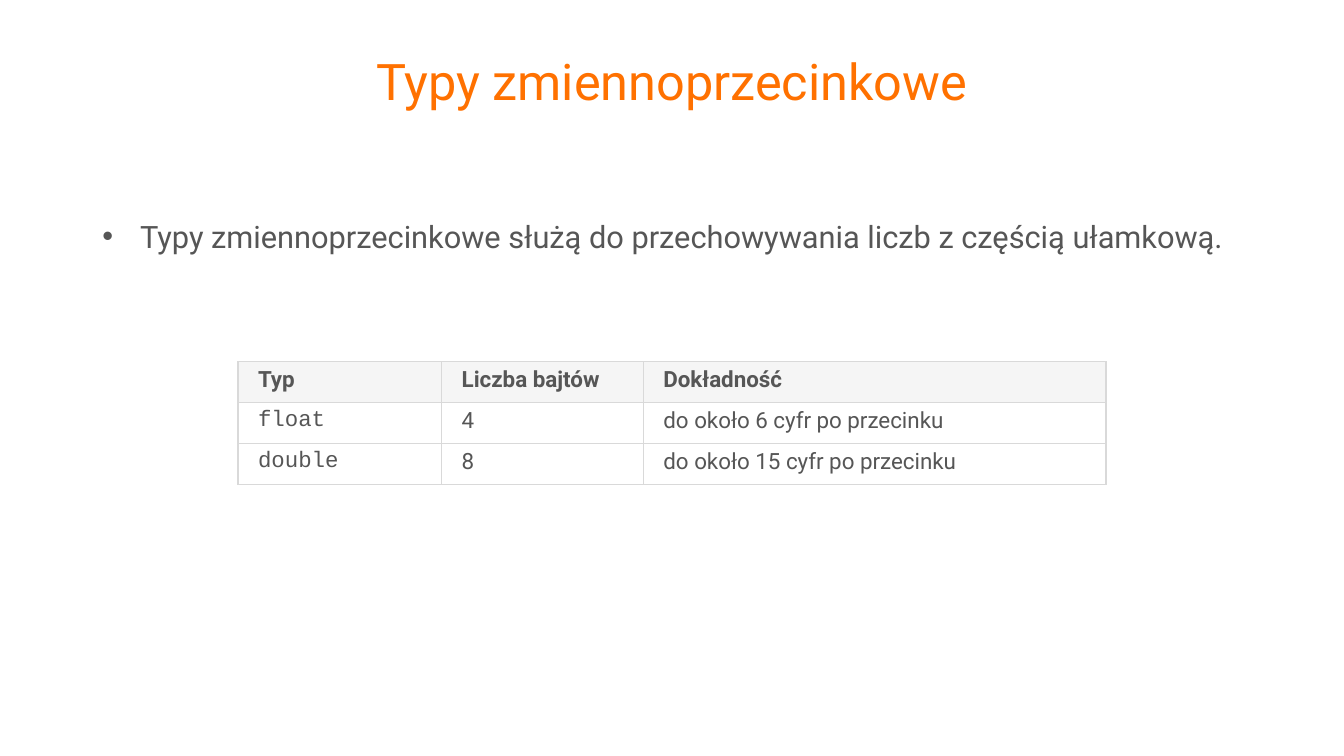
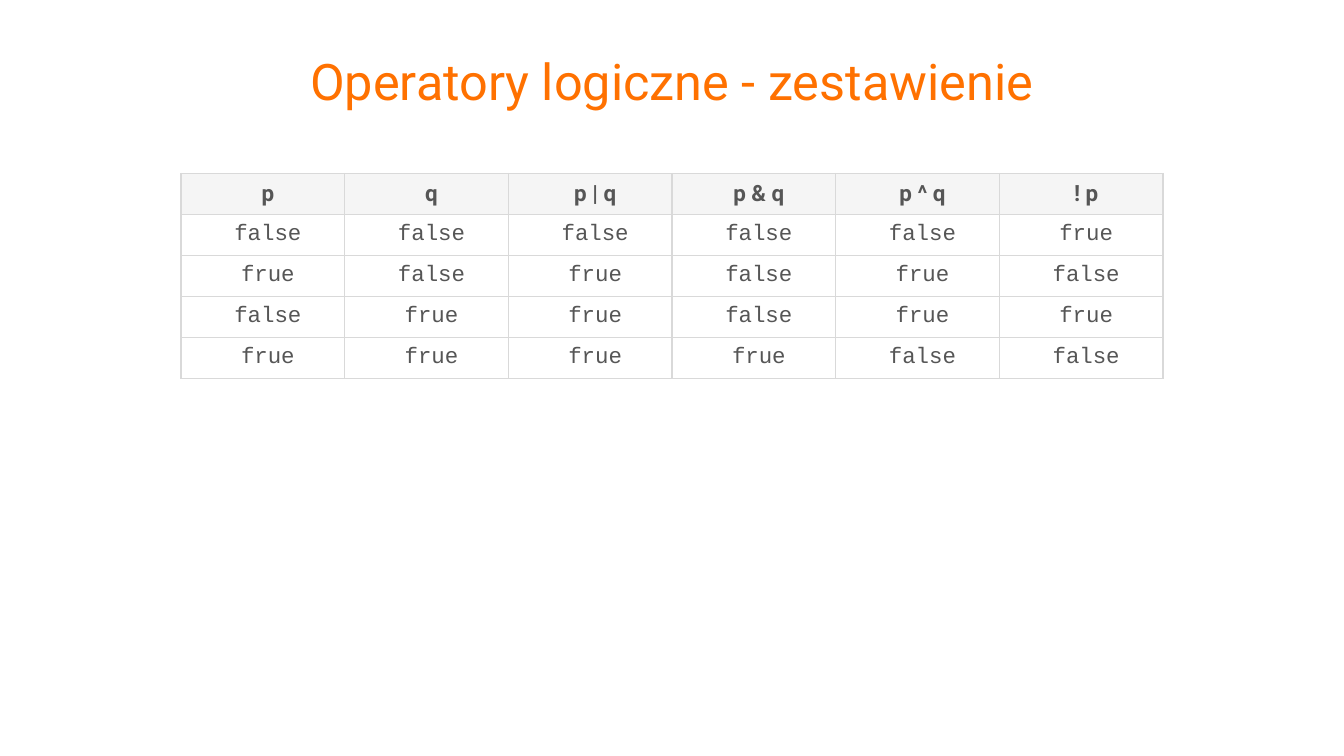
from dataclasses import dataclass

from lxml import etree
from pptx import Presentation, util as u
from pptx.dml.color import RGBColor as Rgb
from pptx.enum import text as t
from pptx.oxml import ns


@dataclass(frozen=True)
class Theme:
    wide: float = 13.33
    high: float = 7.5
    span: float = 11.5
    row: float = 1.22 / 3
    sans: str = "Roboto"
    mono: str = "Courier New"
    accent: str = "FF7100"
    ink: str = "565656"
    head: str = "F5F5F5"
    plain: str = "FFFFFF"
    rule: str = "D9D9D9"
    title: int = 36
    body: int = 22
    cell: int = 16


LOOK = Theme()
LEFT, MID = t.PP_ALIGN.LEFT, t.PP_ALIGN.CENTER
TOP, HALF = t.MSO_ANCHOR.TOP, t.MSO_ANCHOR.MIDDLE


def apply(item, values):
    for name, value in values.items():
        setattr(item, name, value)


def write(frame, words, size, color, face=LOOK.sans, bold=False, **para):
    """Fill a text frame with one formatted paragraph."""
    frame.text = words
    line = frame.paragraphs[0]
    apply(line, para)
    font = line.runs[0].font
    apply(font, {"name": face, "size": u.Pt(size), "bold": bold})
    font.color.rgb = Rgb.from_string(color)


def place(shape, top, anchor):
    """Centre a text placeholder across the slide."""
    apply(shape, {
        "left": u.Inches((LOOK.wide - LOOK.span) / 2),
        "top": u.Inches(top),
        "width": u.Inches(LOOK.span),
        "height": u.Inches(0.87),
    })
    frame = shape.text_frame
    apply(frame, {"word_wrap": True, "auto_size": t.MSO_AUTO_SIZE.NONE,
                  "vertical_anchor": anchor})
    return frame


def add_page(deck, title, layout):
    page = deck.slides.add_slide(deck.slide_layouts[layout])
    frame = place(page.shapes.title, 0.4, HALF)
    write(frame, title, LOOK.title, LOOK.accent,
          alignment=MID, line_spacing=0.9)
    return page


def add_lead(page, words):
    """Put an unbulleted sentence in the body placeholder."""
    frame = place(page.placeholders[1], 2, TOP)
    props = frame.paragraphs[0]._p.get_or_add_pPr()
    apply_xml = {"marL": "0", "indent": "0"}
    for name, value in apply_xml.items():
        props.set(name, value)
    etree.SubElement(props, ns.qn("a:buNone"))
    write(frame, words, LOOK.body, LOOK.ink, alignment=LEFT,
          line_spacing=1.3, space_before=u.Pt(0))


def frame_cell(cell):
    """Draw a thin rule on all four sides; call before filling."""
    props = cell._tc.get_or_add_tcPr()
    for side in "LRTB":
        line = etree.SubElement(props, ns.qn(f"a:ln{side}"), w=str(u.Pt(1)))
        fill = etree.SubElement(line, ns.qn("a:solidFill"))
        etree.SubElement(fill, ns.qn("a:srgbClr"), val=LOOK.rule)


def add_grid(page, rows, top, cols, mono, align, anchor):
    """Add a centred table whose first `mono` columns hold code."""
    width = sum(cols)
    table = page.shapes.add_table(
        len(rows), len(cols), u.Inches((LOOK.wide - width) / 2),
        u.Inches(top), u.Inches(width), u.Inches(LOOK.row * len(rows))).table
    apply(table, {"first_row": False, "horz_banding": False})
    for col, size in zip(table.columns, cols):
        col.width = u.Inches(size)
    edges = {"margin_left": u.Inches(0.2), "margin_right": u.Inches(0.1),
             "margin_top": u.Inches(0.05), "margin_bottom": u.Inches(0.05),
             "vertical_anchor": anchor}
    for r, row in enumerate(rows):
        table.rows[r].height = u.Inches(LOOK.row)
        for c, words in enumerate(row):
            cell = table.cell(r, c)
            apply(cell, edges)
            frame_cell(cell)
            cell.fill.solid()
            cell.fill.fore_color.rgb = Rgb.from_string(
                LOOK.plain if r else LOOK.head)
            face = LOOK.mono if r and c < mono else LOOK.sans
            write(cell.text_frame, words, LOOK.cell, LOOK.ink, face,
                  bold=r == 0, alignment=align)


def add_types(deck):
    page = add_page(deck, "Typy zmiennoprzecinkowe", 1)
    add_lead(page, "Typy zmiennoprzecinkowe służą do przechowywania "
                   "liczb z częścią ułamkową.")
    rows = [
        ("Typ", "Liczba bajtów", "Dokładność"),
        ("float", "4", "do około 6 cyfr po przecinku"),
        ("double", "8", "do około 15 cyfr po przecinku"),
    ]
    add_grid(page, rows, 3.59, (2.02, 2, 4.59), 1, LEFT, TOP)


def add_logic(deck):
    page = add_page(deck, "Operatory logiczne - zestawienie", 5)
    rows = [
        ("p", "q", "p | q", "p & q", "p ^ q", "! p"),
        ("false", "false", "false", "false", "false", "frue"),
        ("frue", "false", "frue", "false", "frue", "false"),
        ("false", "frue", "frue", "false", "frue", "frue"),
        ("frue", "frue", "frue", "frue", "false", "false"),
    ]
    count = len(rows[0])
    add_grid(page, rows, 1.72, [9.74 / count] * count, count, MID, HALF)


def main():
    deck = Presentation()
    apply(deck, {"slide_width": u.Inches(LOOK.wide),
                 "slide_height": u.Inches(LOOK.high)})
    add_types(deck)
    add_logic(deck)
    deck.save("out.pptx")


if __name__ == "__main__":
    main()
